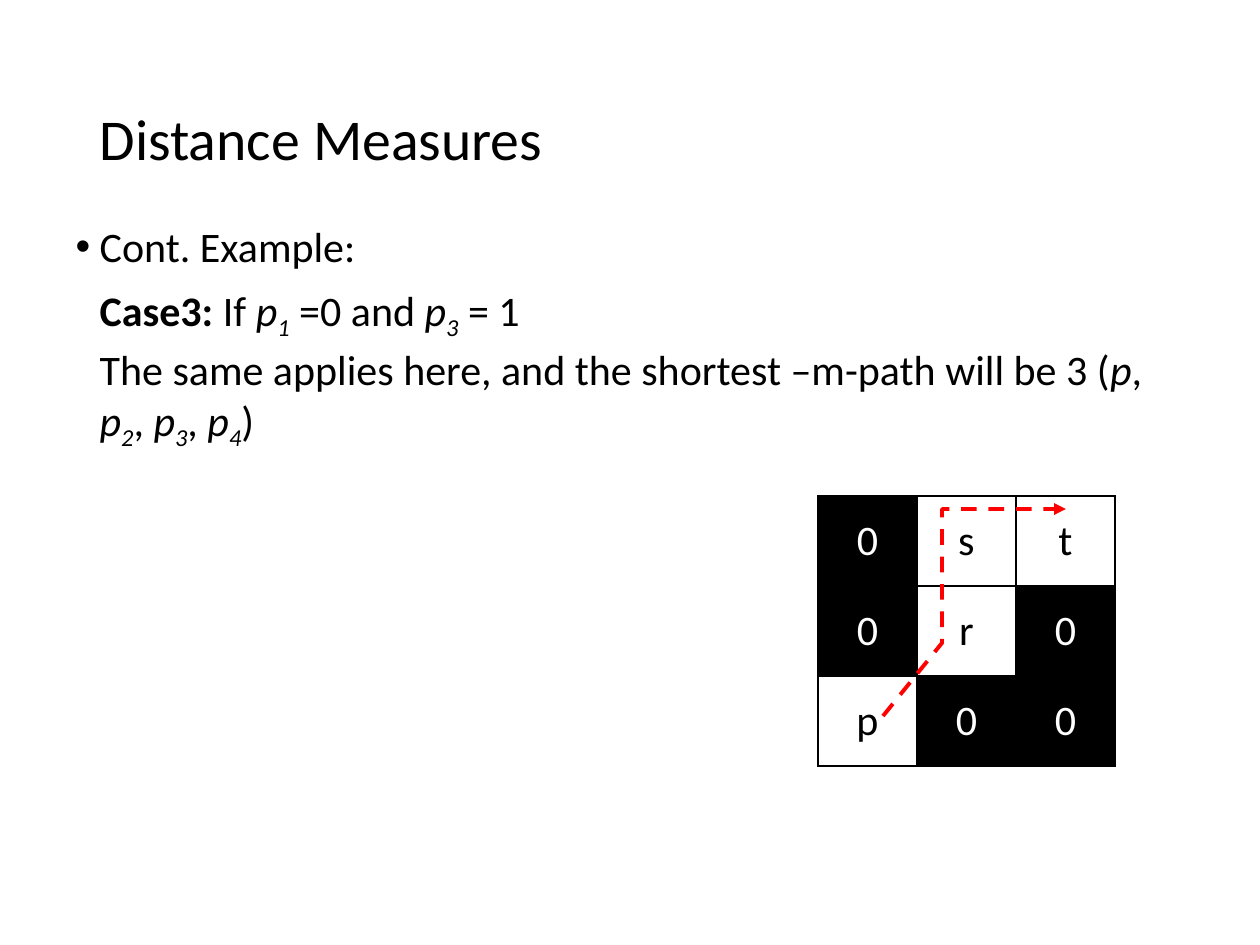
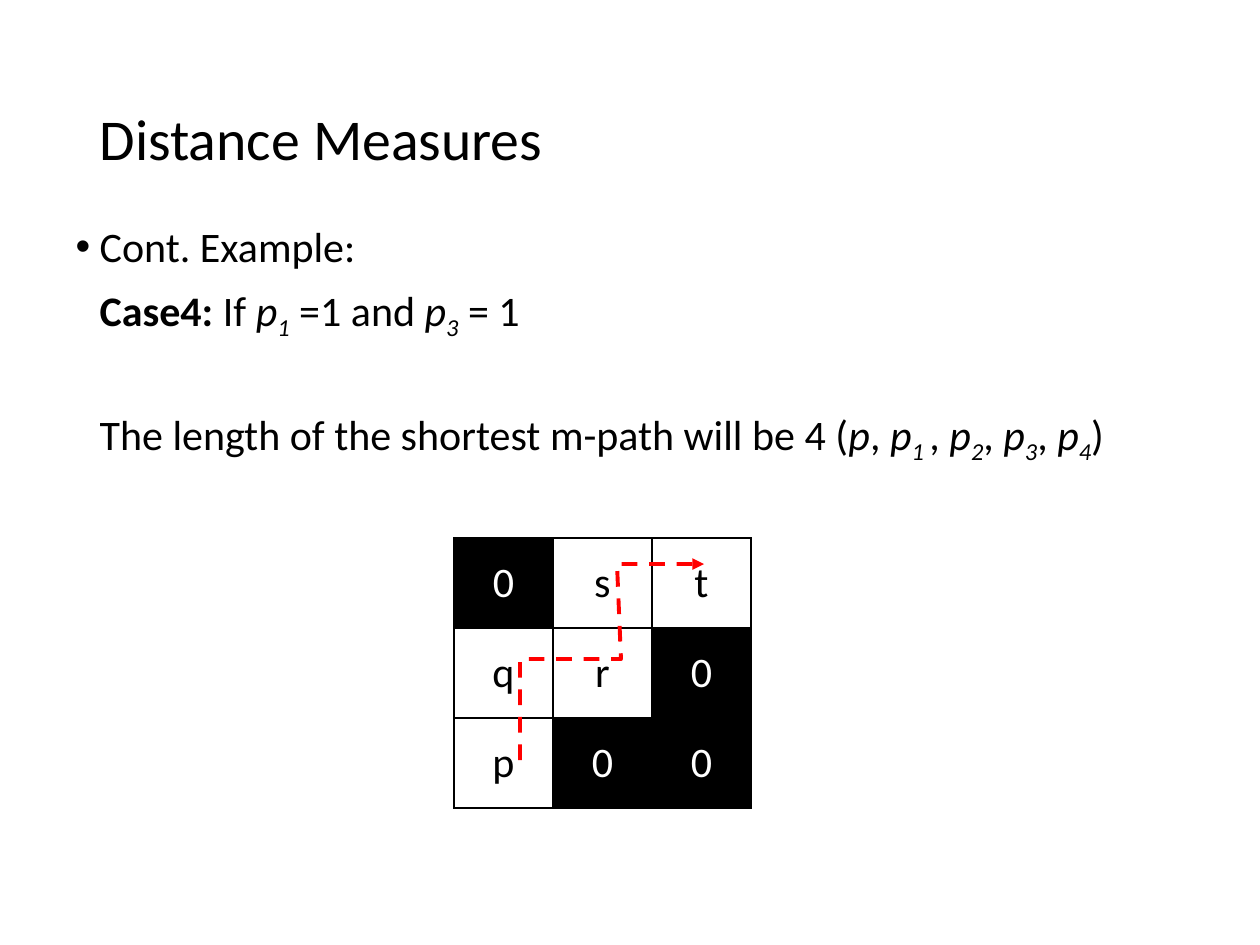
from dataclasses import dataclass
from typing import NamedTuple

from lxml import etree
from pptx import Presentation
from pptx import util as u
from pptx.dml.color import RGBColor
from pptx.enum import dml, text
from pptx.oxml import ns

PX = u.Inches(1) / 126
FONT = "Calibri"
BLACK = RGBColor(0x00, 0x00, 0x00)
WHITE = RGBColor(0xFF, 0xFF, 0xFF)
RED = RGBColor(0xFF, 0x00, 0x00)
TITLE = "Distance Measures"
TITLE_BOX = (87, 50, 1086, 183)
BODY_BOX = (63, 220, 1134, 588)
INDENT = 24
CELL_W, CELL_H = 99, 90
TITLE_SIZE, BODY_SIZE = 33, 24
PARA_GAP = 7.5
WIDE_GAP = 41.4


class Run(NamedTuple):
    text: str
    bold: bool = False
    italic: bool = False
    sub: bool = False


@dataclass
class Para:
    runs: list[Run]
    gap: float = PARA_GAP
    bullet: bool = False


@dataclass
class Case:
    paras: list[Para]
    grid_at: tuple[int, int]
    grid: tuple[str, ...]
    route: list[tuple[int, int]]


def px(n: float) -> u.Emu:
    return u.Emu(round(n * PX))


def point(index: str = "") -> list[Run]:
    """The italic letter p with an optional subscript."""
    runs = [Run("p", italic=True)]
    return runs + [Run(index, italic=True, sub=True)] if index else runs


def point_list(*indexes: str) -> list[Run]:
    """Points p, p1, ... separated by commas and closed by a bracket."""
    runs = point()
    for index in indexes:
        runs += [Run(", "), *point(index)]
    return runs + [Run(")")]


def case_line(number: int, p1: int, p3: int) -> Para:
    return Para([Run(f"Case{number}:", bold=True), Run(" If "), *point("1"),
                 Run(f" ={p1} and "), *point("3"), Run(f" = {p3}")])


def add_child(parent, tag: str, **attrs: str) -> None:
    etree.SubElement(parent, ns.qn(tag), attrs)


def add_run(p, run: Run, size: float, color: RGBColor = BLACK) -> None:
    r = p.add_run()
    r.text = run.text
    r.font.name, r.font.size = FONT, u.Pt(size)
    r.font.color.rgb = color
    r.font.bold, r.font.italic = run.bold, run.italic
    if run.sub:
        r._r.get_or_add_rPr().set("baseline", "-25000")


def place(sp, box: tuple[int, int, int, int]):
    sp.left, sp.top, sp.width, sp.height = map(px, box)
    tf = sp.text_frame
    tf.word_wrap = True
    tf.auto_size = text.MSO_AUTO_SIZE.NONE
    return tf


def add_title(s) -> None:
    tf = place(s.shapes.title, TITLE_BOX)
    tf.vertical_anchor = text.MSO_ANCHOR.MIDDLE
    p = tf.paragraphs[0]
    p.alignment = text.PP_ALIGN.LEFT
    p.line_spacing = 0.9
    add_run(p, Run(TITLE), TITLE_SIZE)


def add_body(s, paras: list[Para]) -> None:
    tf = place(s.placeholders[1], BODY_BOX)
    for i, para in enumerate(paras):
        p = tf.add_paragraph() if i else tf.paragraphs[0]
        p.line_spacing = 0.9
        p.space_before = u.Pt(para.gap if i else 0)
        pPr = p._p.get_or_add_pPr()
        pPr.set("marL", str(px(INDENT)))
        pPr.set("indent", str(px(-INDENT if para.bullet else 0)))
        if para.bullet:
            add_child(pPr, "a:buFont", typeface="Arial")
            add_child(pPr, "a:buChar", char="•")
        else:
            add_child(pPr, "a:buNone")
        for run in para.runs:
            add_run(p, run, BODY_SIZE)


def add_borders(cell) -> None:
    tcPr = cell._tc.get_or_add_tcPr()
    for i, side in enumerate(("lnL", "lnR", "lnT", "lnB")):
        ln = etree.Element(ns.qn(f"a:{side}"), w=str(u.Pt(1)))
        fill = etree.SubElement(ln, ns.qn("a:solidFill"))
        add_child(fill, "a:srgbClr", val=str(BLACK))
        tcPr.insert(i, ln)


def add_grid(s, at: tuple[int, int], rows: tuple[str, ...]) -> None:
    """Pixel grid: zeros are white on black, named pixels black on white."""
    n_rows, n_cols = len(rows), len(rows[0])
    size = (n_cols * CELL_W, n_rows * CELL_H)
    table = s.shapes.add_table(n_rows, n_cols, *map(px, at + size)).table
    table.first_row = table.horz_banding = False
    for i, row in enumerate(rows):
        for j, label in enumerate(row):
            cell = table.cell(i, j)
            zero = label == "0"
            cell.fill.solid()
            cell.fill.fore_color.rgb = BLACK if zero else WHITE
            cell.vertical_anchor = text.MSO_ANCHOR.MIDDLE
            p = cell.text_frame.paragraphs[0]
            p.alignment = text.PP_ALIGN.CENTER
            add_run(p, Run(label), BODY_SIZE, WHITE if zero else BLACK)
            add_borders(cell)


def add_route(s, points: list[tuple[int, int]]) -> None:
    """Dashed red path with an arrowhead at its end."""
    builder = s.shapes.build_freeform(*points[0], scale=PX)
    builder.add_line_segments(points[1:], close=False)
    sp = builder.convert_to_shape()
    sp.shadow.inherit = False
    sp.fill.background()
    sp.line.color.rgb = RED
    sp.line.width = u.Pt(2.25)
    sp.line.dash_style = dml.MSO_LINE.DASH
    add_child(sp.element.spPr.find(ns.qn("a:ln")), "a:tailEnd", type="triangle")


HEADING = Para([Run("Cont. Example:")], bullet=True)
CASES = [
    Case(
        [HEADING, case_line(3, 0, 1),
         Para([Run("The same applies here, and the shortest –m-path will be 3 ("),
               *point_list("2", "3", "4")])],
        (818, 496), ("0st", "0r0", "p00"),
        [(883, 716), (942, 643), (942, 509), (1066, 509)],
    ),
    Case(
        [HEADING, case_line(4, 1, 1),
         Para([Run("The length of the shortest m-path will be 4 ("),
               *point_list("1 ", "2", "3", "4")], gap=WIDE_GAP)],
        (454, 538), ("0st", "qr0", "p00"),
        [(520, 760), (520, 659), (621, 659), (617, 564), (704, 564)],
    ),
]


def main() -> None:
    prs = Presentation()
    prs.slide_width, prs.slide_height = u.Inches(10), u.Inches(7.5)
    for case in CASES:
        s = prs.slides.add_slide(prs.slide_layouts[1])
        add_title(s)
        add_body(s, case.paras)
        add_grid(s, case.grid_at, case.grid)
        add_route(s, case.route)
    prs.save("out.pptx")


if __name__ == "__main__":
    main()
